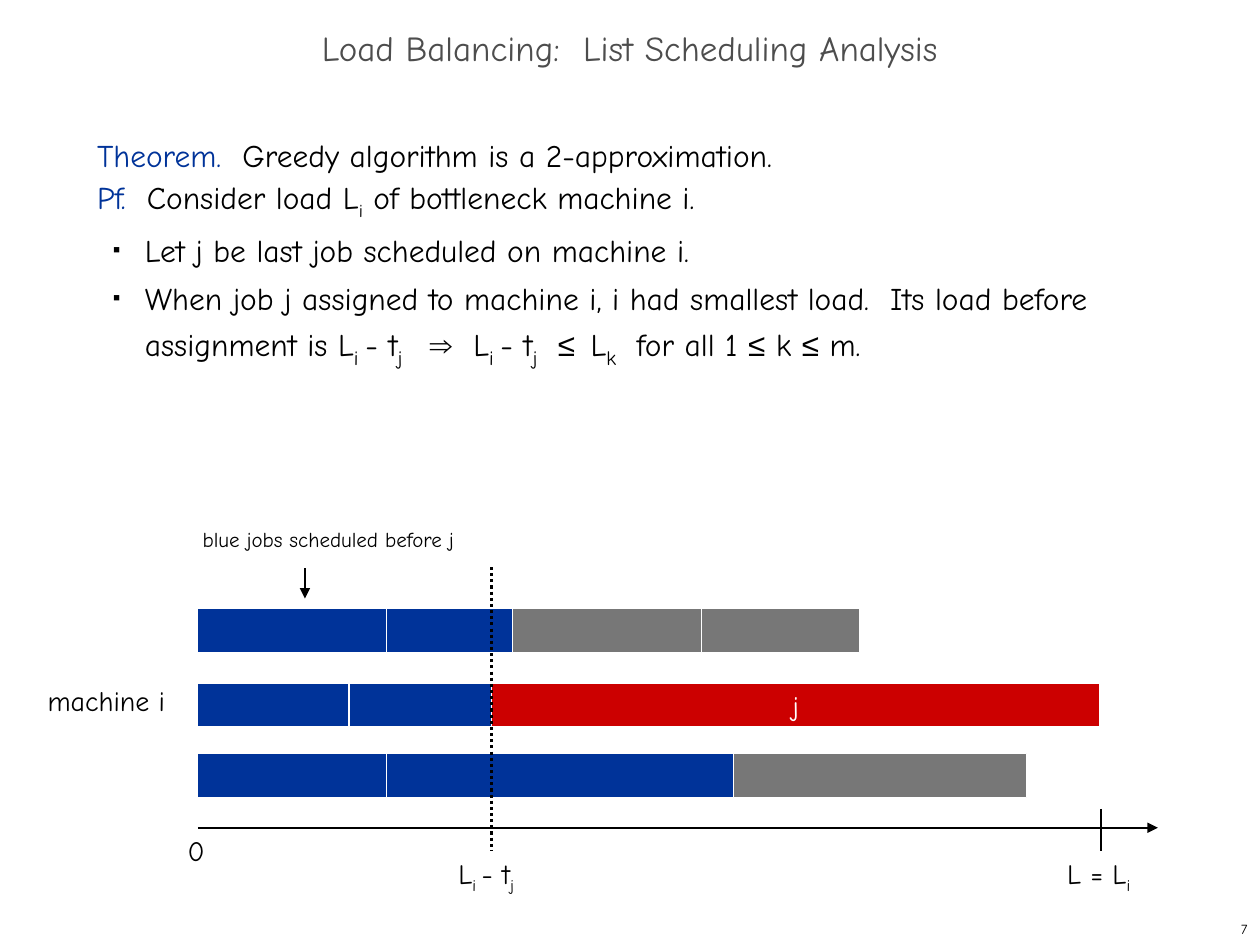
from collections import namedtuple
from dataclasses import dataclass
from lxml.etree import SubElement as Sub
from pptx import Presentation
from pptx.dml.color import RGBColor as RGB
from pptx.enum.dml import MSO_LINE as Dash
from pptx.enum.shapes import MSO_CONNECTOR as Conn, MSO_SHAPE as Shape
from pptx.enum.text import MSO_ANCHOR as Anchor, MSO_AUTO_SIZE as Fit, PP_ALIGN as Align
from pptx.oxml.ns import qn
from pptx.util import Inches, Pt

Box = namedtuple("Box", "x y w h")


@dataclass(frozen=True)
class Theme:
    font: str = "Comic Neue"
    sign: str = "Arial"
    ink: RGB = RGB(0, 0, 0)
    gray: RGB = RGB(0x4D, 0x4D, 0x4D)
    blue: RGB = RGB(0, 0x33, 0x99)
    red: RGB = RGB(0xCC, 0, 0)
    late: RGB = RGB(0x77, 0x77, 0x77)
    white: RGB = RGB(255, 255, 255)
    head: int = 20
    body: int = 18
    low: int = 20
    label: int = 16
    note: int = 12
    page: int = 8


T = Theme()


def place(part, box):
    part.left, part.top, part.width, part.height = map(Inches, box)


def add_run(para, text, size, color=T.ink, font=T.font, sub=False):
    run = para.add_run()
    run.text = text
    run.font.size, run.font.name = Pt(size), font
    run.font.color.rgb = color
    if sub:
        run.font._element.set("baseline", "-25000")


def add_label(slide, box, runs, size=T.label, wrap=True, align=Align.LEFT):
    """Text box; each run is (text, is subscript)."""
    part = slide.shapes.add_textbox(*map(Inches, box))
    frame = part.text_frame
    frame.word_wrap = wrap
    para = frame.paragraphs[0]
    para.alignment = align
    for text, sub in runs:
        add_run(para, text, size, sub=sub)
    return frame


def add_line(slide, start, end, width, arrow=False, dash=None):
    line = slide.shapes.add_connector(Conn.STRAIGHT, *map(Inches, start + end))
    line.line.color.rgb, line.line.width = T.ink, Pt(width)
    if dash:
        line.line.dash_style = dash
    if arrow:
        Sub(line.line._get_or_add_ln(), qn("a:tailEnd"), type="triangle")
    Sub(line._element.spPr, qn("a:effectLst"))


def set_bullet(para, char=None):
    props = para._p.get_or_add_pPr()
    left, hang = (0.38, -0.25) if char else (0, 0)
    props.set("marL", str(Inches(left)))
    props.set("indent", str(Inches(hang)))
    if not char:
        Sub(props, qn("a:buNone"))
        return
    Sub(Sub(props, qn("a:buClr")), qn("a:srgbClr"), val=str(T.ink))
    Sub(props, qn("a:buSzPct"), val="35000")
    Sub(props, qn("a:buFont"), typeface=T.sign)
    Sub(props, qn("a:buChar"), char=char)


def add_head(slide, box):
    title = slide.shapes.title
    place(title, box)
    title.text_frame.vertical_anchor = Anchor.MIDDLE
    para = title.text_frame.paragraphs[0]
    para.alignment, para.line_spacing = Align.CENTER, 0.7
    add_run(para, "Load Balancing:  List Scheduling Analysis", T.head, T.gray)


def add_proof(slide, box):
    body = slide.placeholders[1]
    place(body, box)
    frame = body.text_frame
    frame.auto_size = Fit.NONE
    key, low, sign = {"color": T.blue}, {"sub": True, "size": T.low}, {"font": T.sign}
    # Each paragraph: bullet, then runs of text and style
    paras = [
        (None, [("Theorem.  ", key), ("Greedy algorithm is a 2-approximation.", {})]),
        (None, [("Pf.  ", key), ("Consider load L", {}), ("i", {"sub": True}),
                (" of bottleneck machine i.", {})]),
        ("■", [("Let j be last job scheduled on machine i.", {})]),
        ("■", [("When job j assigned to machine i, i had smallest load.  "
                "Its load before assignment is L", {}),
               ("i ", low), ("- t", {}), ("j    ", low), ("⇒", sign),
               ("  L", {}), ("i ", low), ("- t", {}), ("j   ", low),
               ("≤ ", sign), (" ", low), ("L", {}), ("k   ", low),
               ("for all 1 ", {}), ("≤", sign), (" k ", {}), ("≤", sign), (" m.", {})]),
    ]
    for i, (char, runs) in enumerate(paras):
        para = frame.paragraphs[0] if i == 0 else frame.add_paragraph()
        para.level = 1 if char else 0
        para.line_spacing = 1.1
        para.space_before = Pt(3.5 if char else 0)
        set_bullet(para, char)
        for text, style in runs:
            add_run(para, text, **{"size": T.body, **style})


def add_job(slide, box, fill, name):
    job = slide.shapes.add_shape(Shape.RECTANGLE, *map(Inches, box))
    job.shadow.inherit = False
    job.fill.solid()
    job.fill.fore_color.rgb = fill
    job.line.color.rgb, job.line.width = T.white, Pt(0.75)
    if name:
        frame = job.text_frame
        frame.word_wrap, frame.vertical_anchor = False, Anchor.MIDDLE
        frame.paragraphs[0].alignment = Align.CENTER
        add_run(frame.paragraphs[0], name, T.label, T.white)


def add_chart(slide, box):
    x, y = box.x, box.y
    axis, base = y + 2.44, y + 2.62
    start, end = x + 2.33, x + 7.17

    # Machines: top, then width, colour and name of each job
    lanes = [
        (0.7, [(1.5, T.blue, ""), (1, T.blue, ""), (1.5, T.late, ""), (1.25, T.late, "")]),
        (1.29, [(1.2, T.blue, ""), (1.13, T.blue, ""), (4.83, T.red, "j")]),
        (1.85, [(1.5, T.blue, ""), (2.75, T.blue, ""), (2.33, T.late, "")]),
    ]
    for top, jobs in lanes:
        left = x
        for width, fill, name in jobs:
            add_job(slide, Box(left, y + top, width, 0.35), fill, name)
            left += width

    # Time axis and marks
    add_line(slide, (x, axis), (x + box.w, axis), 1.25, arrow=True)
    add_line(slide, (end, axis - 0.15), (end, base), 1.25)
    add_line(slide, (start, y + 0.37), (start, base), 1.75, dash=Dash.ROUND_DOT)
    add_label(slide, Box(x - 0.18, axis, 0.53, 0.37), [("0", False)])
    add_label(slide, Box(start - 0.36, base, 1.12, 0.4),
              [("L", False), ("i ", True), ("- t", False), ("j", True)])
    add_label(slide, Box(end - 0.37, base, 1.12, 0.4), [("L = L", False), ("i", True)])

    # Notes
    add_label(slide, Box(x - 1.29, y + 1.25, 1.13, 0.37), [("machine i", False)], wrap=False)
    add_label(slide, Box(x - 0.06, y, 2.21, 0.3),
              [("blue jobs scheduled before j", False)], T.note, False)
    add_line(slide, (x + 0.85, y + 0.38), (x + 0.85, y + 0.62), 0.75, arrow=True)


def add_page(slide, box):
    frame = add_label(slide, box, [("7", False)], T.page, False, Align.RIGHT)
    frame.vertical_anchor = Anchor.MIDDLE


def main():
    deck = Presentation()
    deck.slide_width, deck.slide_height = Inches(10), Inches(7.5)
    slide = deck.slides.add_slide(deck.slide_layouts[1])
    add_head(slide, Box(0, 0.17, 10, 0.5))
    add_proof(slide, Box(0.67, 1, 8.58, 5.92))
    add_chart(slide, Box(1.57, 4.13, 7.62, 3.02))
    add_page(slide, Box(7.92, 7.25, 2.08, 0.25))
    deck.save("out.pptx")


if __name__ == "__main__":
    main()
